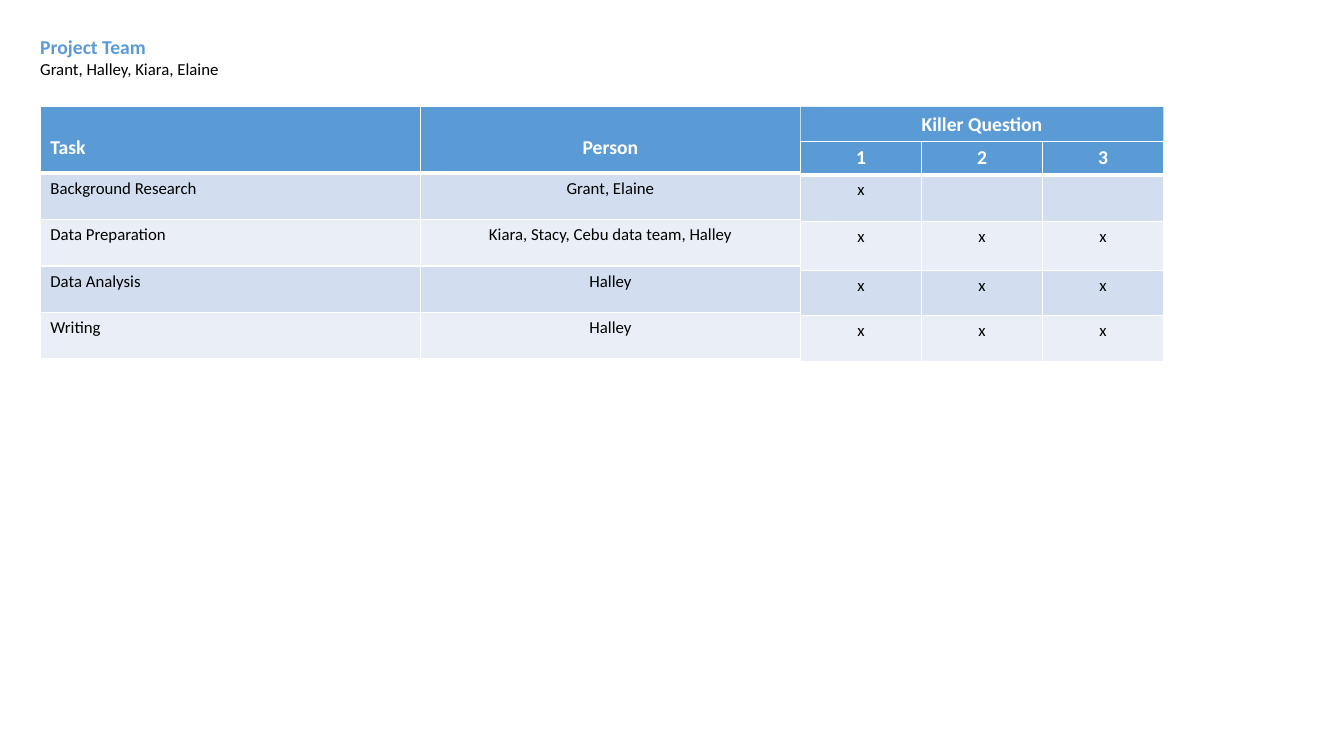
"""Build the project team slide with its task and killer question tables."""
import pptx
import pptx.dml.color
import pptx.enum.shapes
import pptx.enum.text
import pptx.oxml.ns
import pptx.util
from lxml import etree

Inches = pptx.util.Inches
Align = pptx.enum.text.PP_ALIGN

THEME = {
    "font": "Calibri",
    "accent": "5B9BD5",
    "white": "FFFFFF",
    "black": "000000",
    "bands": ("D2DEEF", "EAEFF7"),
    "heading": 14,
    "body": 12,
    "rule": 1,
    "header_rule": 3,
}

TEAM_TITLE = "Project Team"
TEAM_MEMBERS = "Grant, Halley, Kiara, Elaine"
QUESTION_TITLE = "Killer Question"
TASKS = [
    ("Task", "Person"),
    ("Background Research", "Grant, Elaine"),
    ("Data Preparation", "Kiara, Stacy, Cebu data team, Halley"),
    ("Data Analysis", "Halley"),
    ("Writing", "Halley"),
]
QUESTIONS = [
    ("1", "2", "3"),
    ("x", "", ""),
    ("x", "x", "x"),
    ("x", "x", "x"),
    ("x", "x", "x"),
]

TASK_LEFT, TABLE_TOP, TABLE_BOTTOM = 0.4, 1.06, 3.57
TASK_COLUMN, QUESTION_COLUMN = 3.77, 1.2
TASK_ROWS = [0.66] + [0.46] * 4
QUESTION_ROWS = [0.27, 0.46, 0.49, 0.45, 0.45]
QUESTION_LEFT = TASK_LEFT + TASK_COLUMN * len(TASKS[0])
QUESTION_WIDTH = QUESTION_COLUMN * len(QUESTIONS[0])
QUESTION_BAR = 0.34


def rgb(name):
    return pptx.dml.color.RGBColor.from_string(name)


def write(paragraph, text, size=THEME["body"], color=THEME["black"],
          bold=False, align=Align.LEFT, spacing=None):
    paragraph.alignment = align
    if spacing:
        paragraph.line_spacing = spacing
    font = paragraph.font
    if text:
        run = paragraph.add_run()
        run.text = text
        font = run.font
    font.name = THEME["font"]
    font.size = pptx.util.Pt(size)
    font.bold = bold
    font.color.rgb = rgb(color)


def add_border(cell, side, width):
    qn = pptx.oxml.ns.qn
    border = etree.SubElement(cell._tc.get_or_add_tcPr(), qn(f"a:ln{side}"),
                              w=str(pptx.util.Pt(width)))
    solid = etree.SubElement(border, qn("a:solidFill"))
    etree.SubElement(solid, qn("a:srgbClr"), val=THEME["white"])


def add_grid(slide, rows, left, top, column_width, row_heights, left_columns=0, header_spacing=None):
    columns = len(rows[0])
    height = Inches(TABLE_BOTTOM - top)
    frame = slide.shapes.add_table(len(rows), columns, Inches(left), Inches(top),
                                   Inches(column_width * columns), height)
    for column in frame.table.columns:
        column.width = Inches(column_width)
    for r, (values, row_height) in enumerate(zip(rows, row_heights)):
        frame.table.rows[r].height = Inches(row_height)
        header = r == 0
        for c, value in enumerate(values):
            cell = frame.table.cell(r, c)
            for side in "LRTB":
                under_header = (r, side) in ((0, "B"), (1, "T"))
                add_border(cell, side, THEME["header_rule" if under_header else "rule"])
            cell.fill.solid()
            cell.fill.fore_color.rgb = rgb(THEME["accent"] if header else THEME["bands"][(r - 1) % 2])
            write(cell.text_frame.paragraphs[0], value,
                  size=THEME["heading" if header else "body"],
                  color=THEME["white" if header else "black"], bold=header,
                  align=Align.LEFT if c < left_columns else Align.CENTER,
                  spacing=header_spacing if header else None)
    frame.height = height


def main():
    deck = pptx.Presentation()
    deck.slide_width, deck.slide_height = Inches(13.33), Inches(7.5)
    slide = deck.slides.add_slide(deck.slide_layouts[6])

    team = slide.shapes.add_textbox(Inches(0.3), Inches(0.3), Inches(12.51), Inches(0.54)).text_frame
    team.word_wrap = True
    team.auto_size = pptx.enum.text.MSO_AUTO_SIZE.SHAPE_TO_FIT_TEXT
    write(team.paragraphs[0], TEAM_TITLE, size=THEME["heading"], color=THEME["accent"], bold=True)
    write(team.add_paragraph(), TEAM_MEMBERS)

    add_grid(slide, TASKS, TASK_LEFT, TABLE_TOP, TASK_COLUMN, TASK_ROWS,
             left_columns=1, header_spacing=2.0)

    question_bar = slide.shapes.add_shape(
        pptx.enum.shapes.MSO_SHAPE.RECTANGLE, Inches(QUESTION_LEFT), Inches(TABLE_TOP),
        Inches(QUESTION_WIDTH), Inches(QUESTION_BAR))
    question_bar.shadow.inherit = False
    question_bar.fill.solid()
    question_bar.fill.fore_color.rgb = rgb(THEME["accent"])
    question_bar.line.fill.background()
    question_bar.text_frame.word_wrap = True
    question_bar.text_frame.auto_size = pptx.enum.text.MSO_AUTO_SIZE.SHAPE_TO_FIT_TEXT
    write(question_bar.text_frame.paragraphs[0], QUESTION_TITLE, size=THEME["heading"],
          color=THEME["white"], bold=True, align=Align.CENTER)

    add_grid(slide, QUESTIONS, QUESTION_LEFT, TABLE_TOP + QUESTION_BAR, QUESTION_COLUMN, QUESTION_ROWS)
    deck.save("out.pptx")


if __name__ == "__main__":
    main()
